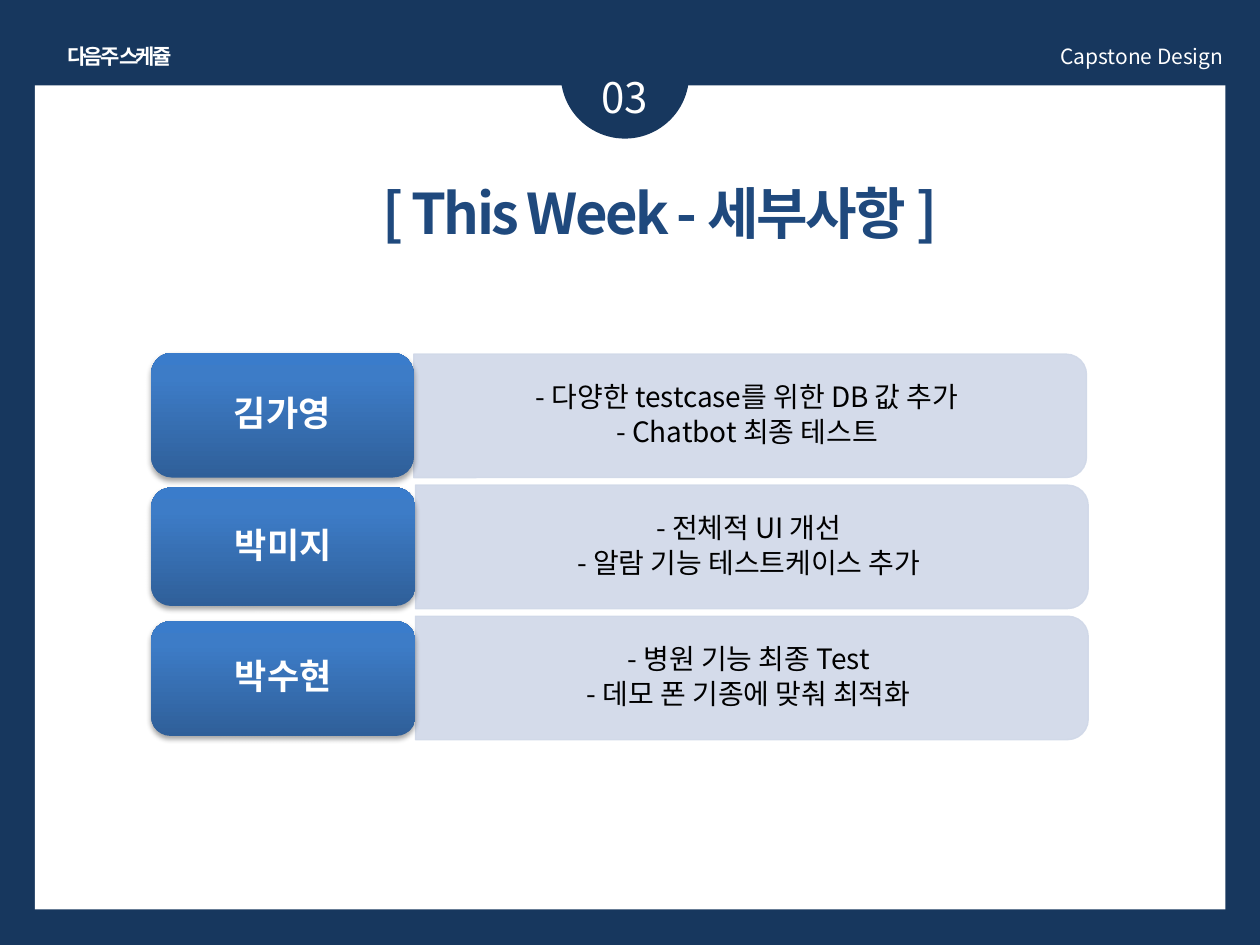
from copy import deepcopy
from lxml.etree import SubElement as Sub
from pptx import Presentation
from pptx.dml.color import RGBColor
from pptx.enum.shapes import MSO_SHAPE as Kind
from pptx.enum.text import MSO_ANCHOR as Anchor, MSO_AUTO_SIZE as Auto, PP_ALIGN as Align
from pptx.oxml.ns import qn
from pptx.util import Pt

FACE = "Noto Sans CJK KR"
NAVY, BLUE, PALE, WHITE, BLACK = "17375E", "1F497D", "D0D8E8", "FFFFFF", "000000"
ROWS = [
    ("김가영", 150, -0.7, 71.3,
     ["- 다양한 testcase를 위한 DB 값 추가", "- Chatbot 최종 테스트"]),
    ("박미지", 151, 1.4, 67.7,
     ["- 전체적 UI 개선", "- 알람 기능 테스트케이스 추가"]),
    ("박수현", 151, 2.9, 65.5,
     ["- 병원 기능 최종 Test", "- 데모 폰 기종에 맞춰 최적화"]),
]


def tint(color, code):
    color.rgb = RGBColor.from_string(code)


def fade(fill, share):
    for color in fill.iter(qn("a:srgbClr")):
        Sub(color, qn("a:alpha"), val=str(share * 1000))


def style(para, size, code, bold=False, align=Align.CENTER, gap=None):
    para.alignment = align
    font = para.font
    font.name, font.size, font.bold = FACE, Pt(size), bold
    tint(font.color, code)
    props = para._p.pPr.find(qn("a:defRPr"))
    props.find(qn("a:latin")).addnext(
        props.makeelement(qn("a:ea"), {"typeface": FACE}))
    if gap is not None:
        props.set("spc", str(round(gap * 100)))


def shape(slide, kind, box, code=None):
    item = slide.shapes.add_shape(kind, *map(Pt, box))
    item.shadow.inherit = False
    item.line.fill.background()
    if code:
        item.fill.solid()
        tint(item.fill.fore_color, code)
    return item


def label(slide, box, text, size, code, wrap=True, **look):
    frame = slide.shapes.add_textbox(*map(Pt, box)).text_frame
    frame.word_wrap = wrap
    frame.text = text
    style(frame.paragraphs[0], size, code, **look)


def header(slide, box):
    left, top, width, height = box
    label(slide, (left, top, 80.6, height), "다음주 스케쥴", 12, WHITE,
          wrap=False, bold=True, gap=-1.5)
    label(slide, (left + width - 283.7, top, 283.7, height),
          "Capstone Design", 12, WHITE, align=Align.RIGHT)


def badge(slide, box):
    left, top, size = box
    shape(slide, Kind.OVAL, (left, top, size, size), NAVY)
    label(slide, (left - 5.8, top + 31.7, 85, 36), "03", 24, WHITE)


def title(slide, box):
    head = slide.shapes.title
    head.left, head.top, head.width, head.height = map(Pt, box)
    frame = head.text_frame
    frame.auto_size = Auto.NONE
    frame.word_wrap = True
    frame.vertical_anchor = Anchor.TOP
    frame.text = "[ This Week - 세부사항 ]"
    style(frame.paragraphs[0], 32, BLUE, bold=True, gap=-1.5)


def card(slide, box, name):
    item = shape(slide, Kind.ROUNDED_RECTANGLE, box)
    item.fill.gradient()
    item.fill.gradient_angle = 90
    stops = item.fill.gradient_stops
    last = stops[1]._gs
    last.addnext(deepcopy(last))
    shades = [(0, "2F5F99"), (0.8, "3D7CC7"), (1, "3A7CCB")]
    for stop, (place, code) in zip(item.fill.gradient_stops, shades):
        stop.position = place
        tint(stop.color, code)
    glow = Sub(item._element.spPr.find(qn("a:effectLst")), qn("a:outerShdw"),
               blurRad=str(Pt(3.1)), dist=str(Pt(1.8)), dir="5400000", rotWithShape="0")
    Sub(glow, qn("a:srgbClr"), val=BLACK)
    fade(glow, 35)
    frame = item.text_frame
    frame.vertical_anchor = Anchor.MIDDLE
    frame.text = name
    para = frame.paragraphs[0]
    para.line_spacing = 0.9
    style(para, 20, WHITE, bold=True)


def panel(slide, box, tasks):
    left, top, width, height = box
    turn = (width - height) / 2
    item = shape(slide, Kind.ROUND_2_SAME_RECTANGLE,
                 (left + turn, top - turn, height, width), PALE)
    item.rotation = 90
    tint(item.line.color, PALE)
    item.line.width = Pt(0.75)
    fade(item._element.spPr, 90)
    area = (left, top + 3.6, width - 3.6, height - 7.2)
    frame = slide.shapes.add_textbox(*map(Pt, area)).text_frame
    frame.word_wrap = True
    frame.vertical_anchor = Anchor.MIDDLE
    frame.margin_left = frame.margin_right = Pt(19.4)
    frame.margin_top = frame.margin_bottom = Pt(10)
    frame.text = "\n".join(tasks)
    for para in frame.paragraphs:
        props = para._p.get_or_add_pPr()
        props.set("marL", str(Pt(13.7)))
        props.set("indent", str(Pt(-13.7)))
        para.line_spacing = 0.9
        para.space_after = Pt(2.4)
        style(para, 16, BLACK)


def plan(slide, box):
    left, top, width, height = box
    step = height / len(ROWS)
    for i, (name, wide, drop, tall, tasks) in enumerate(ROWS):
        y = top + i * step
        panel(slide, (left + wide, y, width - 151, 70.6), tasks)
        card(slide, (left, y + drop, wide, tall), name)


def main():
    deck = Presentation()
    deck.slide_width, deck.slide_height = Pt(720), Pt(540)
    slide = deck.slides.add_slide(deck.slide_layouts[5])
    back = slide.background.fill
    back.solid()
    tint(back.fore_color, NAVY)
    shape(slide, Kind.RECTANGLE, (20, 48.8, 680.2, 470.8), WHITE)
    badge(slide, (320.4, 5.8, 73.4))
    title(slide, (195.8, 98.6, 362.9, 46))
    plan(slide, (86.4, 202.3, 535.5, 224.7))
    header(slide, (28, 21.6, 678.3, 21.6))
    tree = slide.shapes._spTree
    tree.append(slide.shapes.title._element)
    deck.save("out.pptx")


if __name__ == "__main__":
    main()
